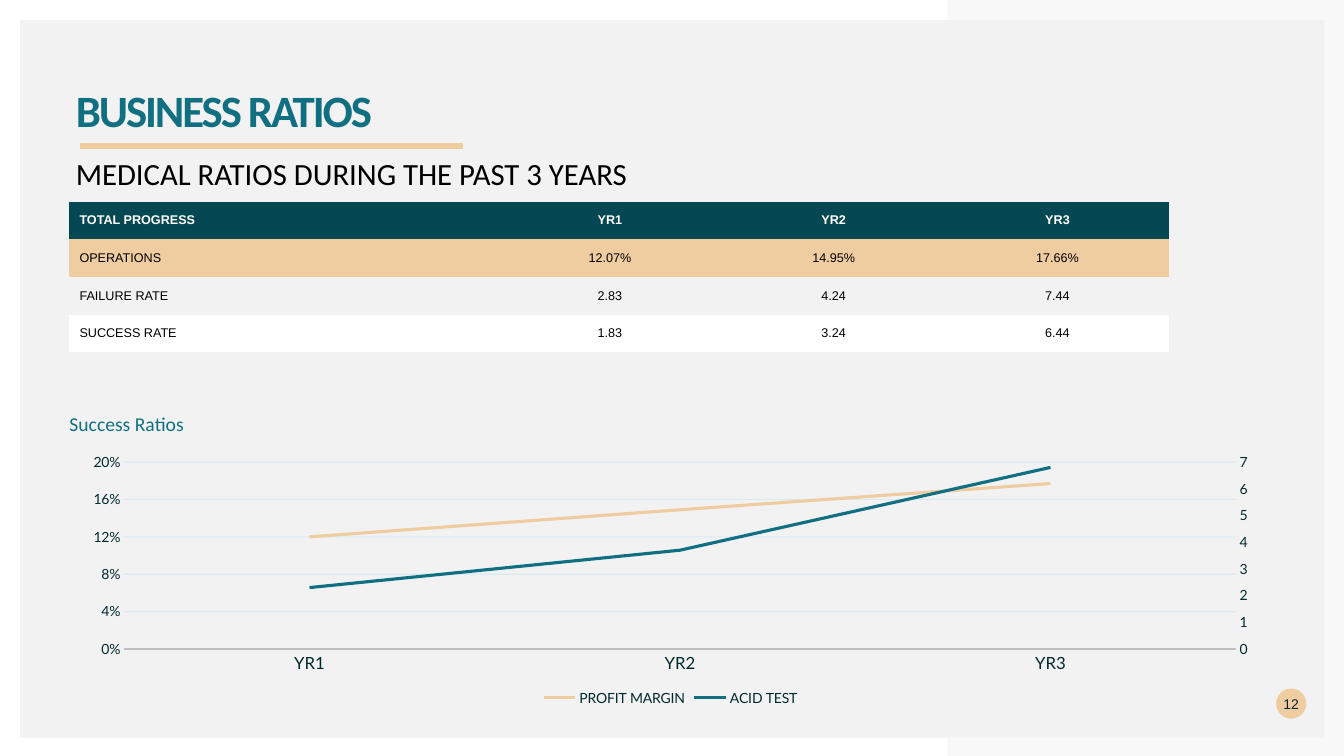
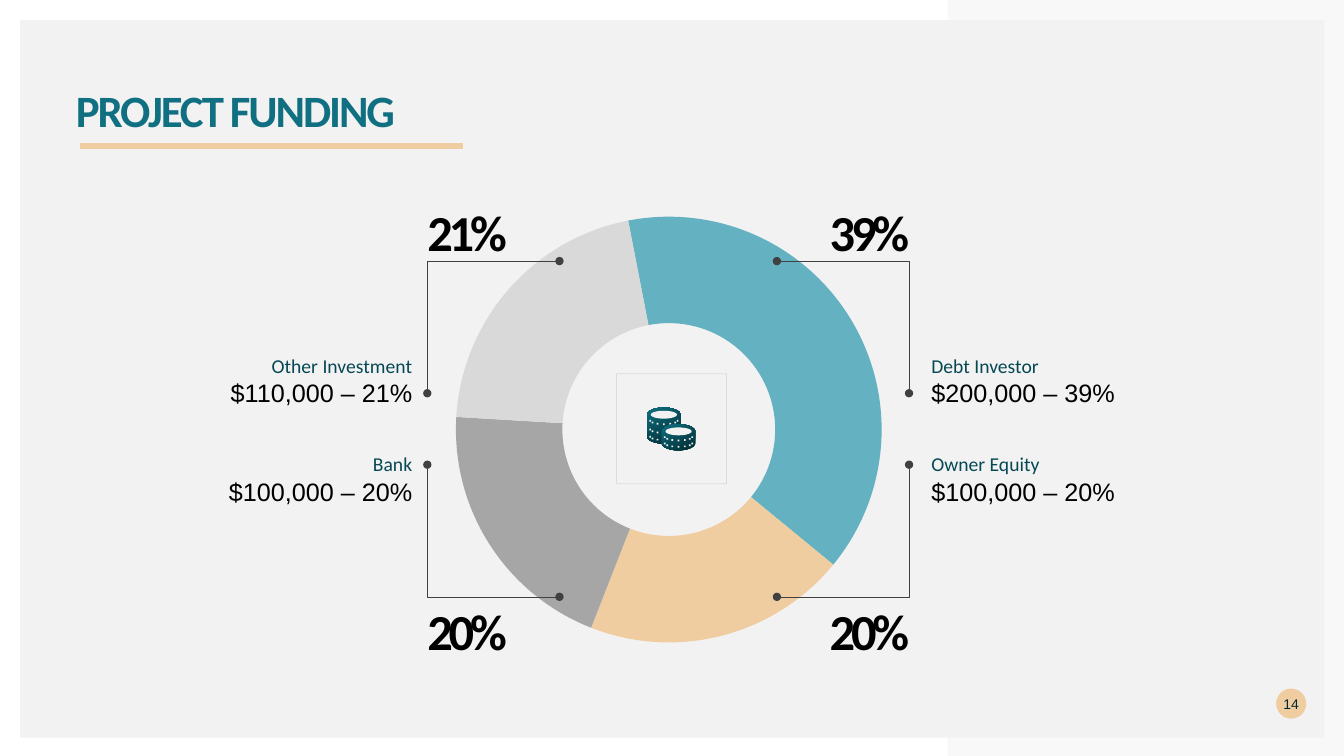
from copy import deepcopy
from dataclasses import dataclass
from math import cos, pi, sin

from lxml import etree
from pptx import Presentation
from pptx.chart.data import CategoryChartData
from pptx.dml.color import RGBColor
from pptx.enum.chart import XL_CHART_TYPE, XL_LEGEND_POSITION, XL_TICK_MARK
from pptx.enum.shapes import MSO_CONNECTOR, MSO_SHAPE
from pptx.enum.text import MSO_ANCHOR, MSO_AUTO_SIZE, PP_ALIGN
from pptx.oxml.ns import qn
from pptx.util import Cm, Pt

LEFT, CENTER, RIGHT = PP_ALIGN.LEFT, PP_ALIGN.CENTER, PP_ALIGN.RIGHT
TOP, MIDDLE, BOTTOM = MSO_ANCHOR.TOP, MSO_ANCHOR.MIDDLE, MSO_ANCHOR.BOTTOM
RECTANGLE, OVAL = MSO_SHAPE.RECTANGLE, MSO_SHAPE.OVAL
NO_TICK = XL_TICK_MARK.NONE

TEAL = RGBColor(0x10, 0x70, 0x82)
DEEP_TEAL = RGBColor(0x05, 0x48, 0x54)
INK = RGBColor(0x00, 0x29, 0x2E)
SAND = RGBColor(0xF0, 0xCD, 0xA1)
AQUA = RGBColor(0x64, 0xB2, 0xC1)
GRID_BLUE = RGBColor(0x00, 0xAE, 0xEF)
PANEL = RGBColor(0xF2, 0xF2, 0xF2)
SILVER = RGBColor(0xD9, 0xD9, 0xD9)
AXIS_GRAY = RGBColor(0xBF, 0xBF, 0xBF)
GRAY = RGBColor(0xA6, 0xA6, 0xA6)
FRAME_GRAY = RGBColor(0x80, 0x80, 0x80)
CHARCOAL = RGBColor(0x40, 0x40, 0x40)
WHITE = RGBColor(0xFF, 0xFF, 0xFF)
BLACK = RGBColor(0x00, 0x00, 0x00)

SLIDE_W, SLIDE_H = Cm(33.87), Cm(19.05)
RING_X, RING_Y = Cm(16.84), Cm(10.81)
NO_TABLE_STYLE = "{2D5ABB26-0587-4C30-8999-92F81FD0307C}"


@dataclass(frozen=True)
class Funding:
    source: str
    amount: str
    percent: int
    color: RGBColor
    side: int  # -1 left, 1 right
    level: int  # -1 upper, 1 lower


@dataclass(frozen=True)
class CoinStack:
    x: float
    y: float
    height: float
    rims: tuple[float, ...]


FUNDING = (
    Funding("Debt Investor", "$200,000", 39, AQUA, 1, -1),
    Funding("Owner Equity", "$100,000", 20, SAND, 1, 1),
    Funding("Bank", "$100,000", 20, GRAY, -1, 1),
    Funding("Other Investment", "$110,000", 21, SILVER, -1, -1),
)
COIN_STACKS = (
    CoinStack(16.73, 10.45, 0.55, (0.14, 0.36, 0.54)),
    CoinStack(17.1, 10.87, 0.3, (0.13, 0.29)),
)
RATIOS = (
    ("TOTAL PROGRESS", "YR1", "YR2", "YR3"),
    ("OPERATIONS", "12.07%", "14.95%", "17.66%"),
    ("FAILURE RATE", "2.83", "4.24", "7.44"),
    ("SUCCESS RATE", "1.83", "3.24", "6.44"),
)
RATIO_FILLS = (DEEP_TEAL, SAND, PANEL, WHITE)


# Text and drawing helpers
def write(paragraph, text: str, *, size: float, color=BLACK, font="Calibri",
          bold=False, spacing=0.0, align=LEFT) -> None:
    paragraph.alignment = align
    run = paragraph.add_run()
    run.text = text
    run.font.size, run.font.name, run.font.bold = Pt(size), font, bold
    run.font.color.rgb = color
    if spacing:
        run._r.get_or_add_rPr().set("spc", str(round(spacing * 100)))


def prepare(frame, anchor=TOP, wrap=True):
    frame.margin_left = frame.margin_right = 0
    frame.margin_top = frame.margin_bottom = 0
    frame.vertical_anchor, frame.word_wrap = anchor, wrap
    return frame


def add_box(slide, x: int, y: int, w: int, h: int, anchor=TOP, wrap=True):
    return prepare(slide.shapes.add_textbox(x, y, w, h).text_frame, anchor, wrap)


def paint(shape, fill=None, line=None, width=0.0):
    shape.shadow.inherit = False
    if fill is None:
        shape.fill.background()
    else:
        shape.fill.solid()
        shape.fill.fore_color.rgb = fill
    if line is None:
        shape.line.fill.background()
    else:
        shape.line.color.rgb, shape.line.width = line, Pt(width)
    return shape


def set_opacity(element, percent: int) -> None:
    color = element.xpath(".//a:srgbClr")[0]
    etree.SubElement(color, qn("a:alpha")).set("val", str(percent * 1000))


def add_outline(slide, *contours, close=True):
    """Draw one freeform from one or more lists of points."""
    builder = slide.shapes.build_freeform(*contours[0][0], scale=1.0)
    for number, points in enumerate(contours):
        if number:
            builder.move_to(*points[0])
        builder.add_line_segments(points[1:], close=close)
    return builder.convert_to_shape()


# Shared parts
def dress_layout(layout, slide) -> None:
    """Place the panel, corner band and title rule behind every slide."""
    for holder in list(layout.placeholders):
        if holder.placeholder_format.idx:
            holder.element.getparent().remove(holder.element)
    title = layout.placeholders[0]
    title.left, title.top, title.width, title.height = Cm(1.91), Cm(2.24), Cm(21), Cm(1.02)
    prepare(title.text_frame).auto_size = MSO_AUTO_SIZE.NONE

    panel = paint(slide.shapes.add_shape(
        RECTANGLE, Cm(0.51), Cm(0.51), Cm(32.87), Cm(18.08)), PANEL)
    start, edge = Cm(23.88), Cm(0.51)
    band = paint(add_outline(slide, [
        (start, 0), (SLIDE_W, 0), (SLIDE_W, SLIDE_H), (start, SLIDE_H),
        (start, SLIDE_H - edge), (SLIDE_W - edge, SLIDE_H - edge),
        (SLIDE_W - edge, edge), (start, edge)]), PANEL)
    set_opacity(band.element.spPr, 50)
    rule = slide.shapes.add_connector(
        MSO_CONNECTOR.STRAIGHT, Cm(2.01), Cm(3.68), Cm(11.66), Cm(3.68))
    rule.line.color.rgb, rule.line.width = SAND, Pt(4.32)
    etree.SubElement(rule.element.spPr, qn("a:effectLst"))
    for part in (panel, band, rule):
        title.element.addprevious(part.element)


def start_slide(slide, title: str, number: int) -> None:
    frame = slide.shapes.title.text_frame
    frame.paragraphs[0].line_spacing = 0.9
    write(frame.paragraphs[0], title, size=32, color=TEAL, bold=True, spacing=-1.5)
    badge = paint(slide.shapes.add_shape(
        OVAL, Cm(32.16), Cm(17.35), Cm(0.76), Cm(0.76)), SAND)
    write(prepare(badge.text_frame, MIDDLE).paragraphs[0], str(number),
          size=10, color=INK, font="Arial", align=CENTER)


def set_chart_font(font, size: float, color: RGBColor, name: str) -> None:
    font.size, font.name, font.color.rgb = Pt(size), name, color


# Business ratios
def add_ratio_table(slide) -> None:
    frame = slide.shapes.add_table(
        len(RATIOS), len(RATIOS[0]), Cm(1.75), Cm(5.08), Cm(27.72), Cm(3.8))
    frame.element.xpath(".//a:tableStyleId")[0].text = NO_TABLE_STYLE
    table = frame.table
    for index, column in enumerate(table.columns):
        column.width = Cm(5.64) if index else Cm(10.8)
    for r, (row, fill) in enumerate(zip(RATIOS, RATIO_FILLS)):
        table.rows[r].height = Cm(0.95)
        for c, text in enumerate(row):
            cell = table.cell(r, c)
            cell.fill.solid()
            cell.fill.fore_color.rgb = fill
            cell.vertical_anchor = MIDDLE
            write(cell.text_frame.paragraphs[0], text, size=9, font="Arial",
                  color=BLACK if r else WHITE, bold=r == 0,
                  align=CENTER if c else LEFT)


def move_to_right_axis(chart, maximum: float, unit: float) -> None:
    """Plot the last series against a second value axis."""
    root = chart.element
    lines, categories, values = (
        root.xpath(f".//c:{tag}")[0] for tag in ("lineChart", "catAx", "valAx"))
    right_lines, right_categories, right_values = map(deepcopy, (lines, categories, values))
    lines.remove(lines.xpath("c:ser")[-1])
    for series in right_lines.xpath("c:ser")[:-1]:
        right_lines.remove(series)
    lines.addnext(right_lines)
    values.addnext(right_values)
    right_values.addnext(right_categories)

    ids = {categories.xpath("c:axId")[0].get("val"): "5001",
           values.xpath("c:axId")[0].get("val"): "5002"}
    for part in (right_lines, right_categories, right_values):
        for link in part.xpath("c:axId | c:crossAx"):
            link.set("val", ids[link.get("val")])
    right_categories.xpath("c:delete")[0].set("val", "1")
    right_values.remove(right_values.xpath("c:majorGridlines")[0])
    for query, value in ((".//c:max", maximum), ("c:majorUnit", unit),
                         ("c:axPos", "r"), ("c:crosses", "max")):
        right_values.xpath(query)[0].set("val", str(value))
    right_values.xpath("c:numFmt")[0].set("formatCode", "#,##0")


def add_ratio_chart(slide) -> None:
    data = CategoryChartData()
    data.categories = RATIOS[0][1:]
    data.add_series("PROFIT MARGIN", (0.12, 0.149, 0.177))
    data.add_series("ACID TEST", (2.3, 3.7, 6.8))
    chart = slide.shapes.add_chart(XL_CHART_TYPE.LINE, Cm(1.75), Cm(11.3),
                                   Cm(30.3), Cm(6.6), data).chart
    set_chart_font(chart.font, 10, INK, "Lato")
    chart.has_title = False
    chart.has_legend = True
    chart.legend.position = XL_LEGEND_POSITION.BOTTOM
    chart.legend.include_in_layout = False
    set_chart_font(chart.legend.font, 10, INK, "Lato")
    chart.plots[0].vary_by_categories = False
    for series, color in zip(chart.plots[0].series, (SAND, TEAL)):
        series.smooth = False
        series.format.line.color.rgb, series.format.line.width = color, Pt(2.25)

    years, margin = chart.category_axis, chart.value_axis
    for axis, size in ((years, 12), (margin, 10)):
        axis.major_tick_mark = axis.minor_tick_mark = NO_TICK
        set_chart_font(axis.tick_labels.font, size, INK, "Lato")
    years.format.line.color.rgb, years.format.line.width = AXIS_GRAY, Pt(1.5)
    margin.format.line.fill.background()
    margin.minimum_scale, margin.maximum_scale, margin.major_unit = 0, 0.2, 0.04
    margin.tick_labels.number_format = "0%"
    margin.tick_labels.number_format_is_linked = False
    grid = margin.major_gridlines.format.line
    grid.color.rgb, grid.width = GRID_BLUE, Pt(0.75)
    set_opacity(chart.element.xpath(".//c:majorGridlines")[0], 10)
    move_to_right_axis(chart, 7, 1)


def build_ratios(slide) -> None:
    start_slide(slide, "BUSINESS RATIOS", 12)
    subtitle = add_box(slide, Cm(1.91), Cm(3.91), Cm(21), Cm(1))
    write(subtitle.paragraphs[0], "MEDICAL RATIOS DURING THE PAST 3 YEARS", size=22)
    add_ratio_table(slide)
    add_ratio_chart(slide)
    caption = add_box(slide, Cm(1.75), Cm(10.39), Cm(2.95), Cm(0.61), wrap=False)
    caption.auto_size = MSO_AUTO_SIZE.SHAPE_TO_FIT_TEXT
    write(caption.paragraphs[0], "Success Ratios", size=14, color=TEAL)


# Project funding
def add_funding_ring(slide) -> None:
    data = CategoryChartData()
    data.categories = [str(n) for n in range(1, len(FUNDING) + 1)]
    data.add_series("Series 1", [item.percent for item in FUNDING])
    chart = slide.shapes.add_chart(XL_CHART_TYPE.DOUGHNUT, Cm(8.28), Cm(5.11),
                                   Cm(17.15), Cm(11.43), data).chart
    set_chart_font(chart.font, 10, BLACK, "Arial")
    chart.has_title = chart.has_legend = False
    chart.plots[0].vary_by_categories = True
    for index, item in enumerate(FUNDING):
        slice_format = chart.plots[0].series[0].points[index].format
        slice_format.fill.solid()
        slice_format.fill.fore_color.rgb = item.color
        slice_format.line.fill.background()
    for tag, value in (("firstSliceAng", 349), ("holeSize", 83)):
        chart.element.xpath(f".//c:{tag}")[0].set("val", str(value))


def add_callout(slide, item: Funding) -> None:
    on_right, upper = item.side > 0, item.level < 0
    outer_x = RING_X + item.side * Cm(6.07)
    outer_y = RING_Y + item.level * Cm(4.23)
    bracket = paint(add_outline(slide, [
        (RING_X + item.side * Cm(2.74), outer_y), (outer_x, outer_y),
        (outer_x, RING_Y + item.level * Cm(0.9))], close=False), line=CHARCOAL, width=0.25)
    for end in ("headEnd", "tailEnd"):
        etree.SubElement(bracket.line._get_or_add_ln(), qn(f"a:{end}")).set("type", "oval")

    label = add_box(slide, Cm(23.47) if on_right else Cm(4.75),
                    Cm(8.31) if upper else Cm(11.4), Cm(5.64), Cm(1.96),
                    BOTTOM if upper else TOP)
    align = LEFT if on_right else RIGHT
    write(label.paragraphs[0], item.source, size=14, color=DEEP_TEAL, align=align)
    write(label.add_paragraph(), f"{item.amount} – {item.percent}%", size=18,
          font="Arial", align=align)

    width, height = Cm(2.69), Cm(1.6)
    share = add_box(slide, outer_x - width if on_right else outer_x,
                    outer_y - height if upper else outer_y, width, height, BOTTOM)
    write(share.paragraphs[0], f"{item.percent}%", size=36, bold=True, spacing=-3,
          align=RIGHT if on_right else LEFT)


def arc(x: float, y: float, rx: float, ry: float, start: float, sweep: float, steps=24):
    angles = [start + sweep * n / steps for n in range(steps + 1)]
    return [(Cm(x + rx * cos(a)), Cm(y + ry * sin(a))) for a in angles]


def add_coins(slide, stack: CoinStack) -> None:
    rx, ry = 0.42, 0.18
    body = paint(add_outline(
        slide, arc(stack.x, stack.y, rx, ry, pi, pi)
        + arc(stack.x, stack.y + stack.height, rx, ry, 0, pi)), INK)
    body.fill.gradient()
    body.fill.gradient_angle = 120
    for stop, color in zip(body.fill.gradient_stops, (INK, TEAL)):
        stop.color.rgb = color
    face = arc(stack.x, stack.y, 0.33, 0.1, 0, 2 * pi)
    notches = [arc(x / 360000, y / 360000, 0.03, 0.03, pi / 4, 2 * pi, 4)
               for rim in stack.rims
               for x, y in arc(stack.x, stack.y + rim, 0.35, 0.1, 0.15, pi - 0.3, 6)]
    paint(add_outline(slide, face, *notches), PANEL)


def build_funding(slide) -> None:
    start_slide(slide, "PROJECT FUNDING", 14)
    add_funding_ring(slide)
    for item in FUNDING:
        add_callout(slide, item)
    for stack in COIN_STACKS:
        add_coins(slide, stack)
    frame = paint(slide.shapes.add_shape(
        RECTANGLE, Cm(15.54), Cm(9.42), Cm(2.77), Cm(2.77)), line=FRAME_GRAY, width=0.5)
    set_opacity(frame.element.spPr, 20)


def main() -> None:
    deck = Presentation()
    deck.slide_width, deck.slide_height = SLIDE_W, SLIDE_H
    layout = deck.slide_layouts[5]
    ratios, funding = (deck.slides.add_slide(layout) for _ in range(2))
    dress_layout(layout, ratios)
    build_ratios(ratios)
    build_funding(funding)
    deck.save("out.pptx")


if __name__ == "__main__":
    main()
